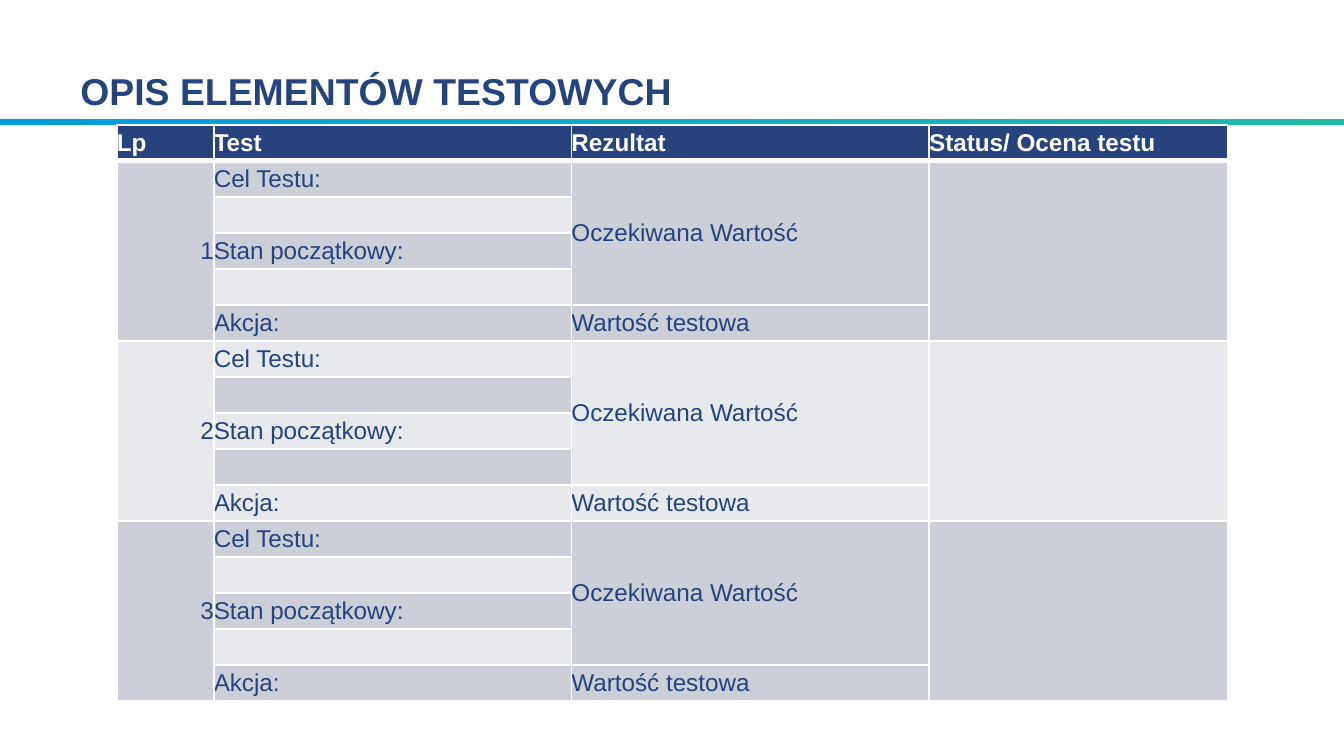
import pptx
import pptx.util
import pptx.dml.color
import pptx.enum.shapes
import pptx.enum.text
import pptx.oxml
from dataclasses import dataclass
from pptx.oxml.ns import nsdecls

Cm, Pt = pptx.util.Cm, pptx.util.Pt
RGB = pptx.dml.color.RGBColor.from_string
Align = pptx.enum.text.PP_ALIGN
Anchor = pptx.enum.text.MSO_ANCHOR


@dataclass(frozen=True)
class Theme:
    font: str = "Arial"
    navy: str = "26437E"
    white: str = "FFFFFF"
    dark: str = "CDCFD8"
    light: str = "E8E9EC"
    blue: str = "009DE0"
    green: str = "20BBA5"
    title: int = 20
    body: int = 13


theme = Theme()


def style(para, size, color, bold):
    font = para.font
    for part in [font] + [run.font for run in para.runs]:
        part.name, part.size, part.bold = theme.font, Pt(size), bold
        part.color.rgb = RGB(color)


def edge(cell, widths):
    """Draw white cell borders; widths in points run left, right, top, bottom."""
    props = cell._tc.get_or_add_tcPr()
    for side, width in zip("LRTB", widths):
        props.append(pptx.oxml.parse_xml(
            f'<a:ln{side} {nsdecls("a")} w="{Pt(width)}"><a:solidFill>'
            f'<a:srgbClr val="{theme.white}"/></a:solidFill></a:ln{side}>'))


deck = pptx.Presentation()
deck.slide_width, deck.slide_height = Cm(25.4), Cm(14.28)
slide = deck.slides.add_slide(deck.slide_layouts[6])

# Rule under the title
bar = slide.shapes.add_shape(pptx.enum.shapes.MSO_SHAPE.RECTANGLE,
                             Cm(0), Cm(2.25), deck.slide_width, Cm(0.12))
bar.shadow.inherit = False
bar.line.fill.background()
bar.fill.gradient()
bar.fill.gradient_angle = 0
for stop, color in zip(bar.fill.gradient_stops, (theme.blue, theme.green)):
    stop.color.rgb = RGB(color)

# Title
title = slide.shapes.add_textbox(Cm(1.27), Cm(0.3), Cm(22.86), Cm(1.96))
frame = title.text_frame
frame.word_wrap = True
frame.vertical_anchor = Anchor.BOTTOM
frame.text = "OPIS ELEMENTÓW TESTOWYCH"
style(frame.paragraphs[0], theme.title, theme.navy, True)

# Table content: a header, then one block of five rows per test
heads = ["Lp", "Test", "Rezultat", "Status/ Ocena testu"]
steps = ["Cel Testu:", "", "Stan początkowy:", "", "Akcja:"]
results = ["Oczekiwana Wartość", "", "", "", "Wartość testowa"]
tests, size = 3, len(steps)
rows = [heads]
for test in range(1, tests + 1):
    for index, (step, result) in enumerate(zip(steps, results)):
        rows.append(["" if index else str(test), step, result, ""])

widths = [1.83, 6.76, 6.76, 5.64]
height = 0.68
table = slide.shapes.add_table(len(rows), len(widths), Cm(2.21), Cm(2.36),
                               Cm(sum(widths)), Cm(height * len(rows))).table
for column, width in zip(table.columns, widths):
    column.width = Cm(width)
for row in table.rows:
    row.height = Cm(height)

shades = [theme.dark, theme.light]
for r, texts in enumerate(rows):
    block, step = divmod(r - 1, size)
    for c, text in enumerate(texts):
        cell = table.cell(r, c)
        cell.margin_left = cell.margin_right = Cm(0)
        cell.margin_top = cell.margin_bottom = Cm(0)
        cell.vertical_anchor = Anchor.MIDDLE
        edge(cell, [1, 1, 3 if r == 1 else 1, 3 if r == 0 else 1])
        # Steps alternate row by row; other columns keep the shade of their block
        shade = shades[(block + (step if c == 1 else 0)) % 2]
        cell.fill.solid()
        cell.fill.fore_color.rgb = RGB(shade if r else theme.navy)
        cell.text_frame.text = text
        para = cell.text_frame.paragraphs[0]
        para.alignment = Align.RIGHT if r and c == 0 else Align.LEFT
        style(para, theme.body, theme.navy if r else theme.white, r == 0)

for top in range(1, len(rows), size):
    for c, span in ((0, size), (2, size - 1), (3, size)):
        table.cell(top, c).merge(table.cell(top + span - 1, c))

deck.save("out.pptx")
